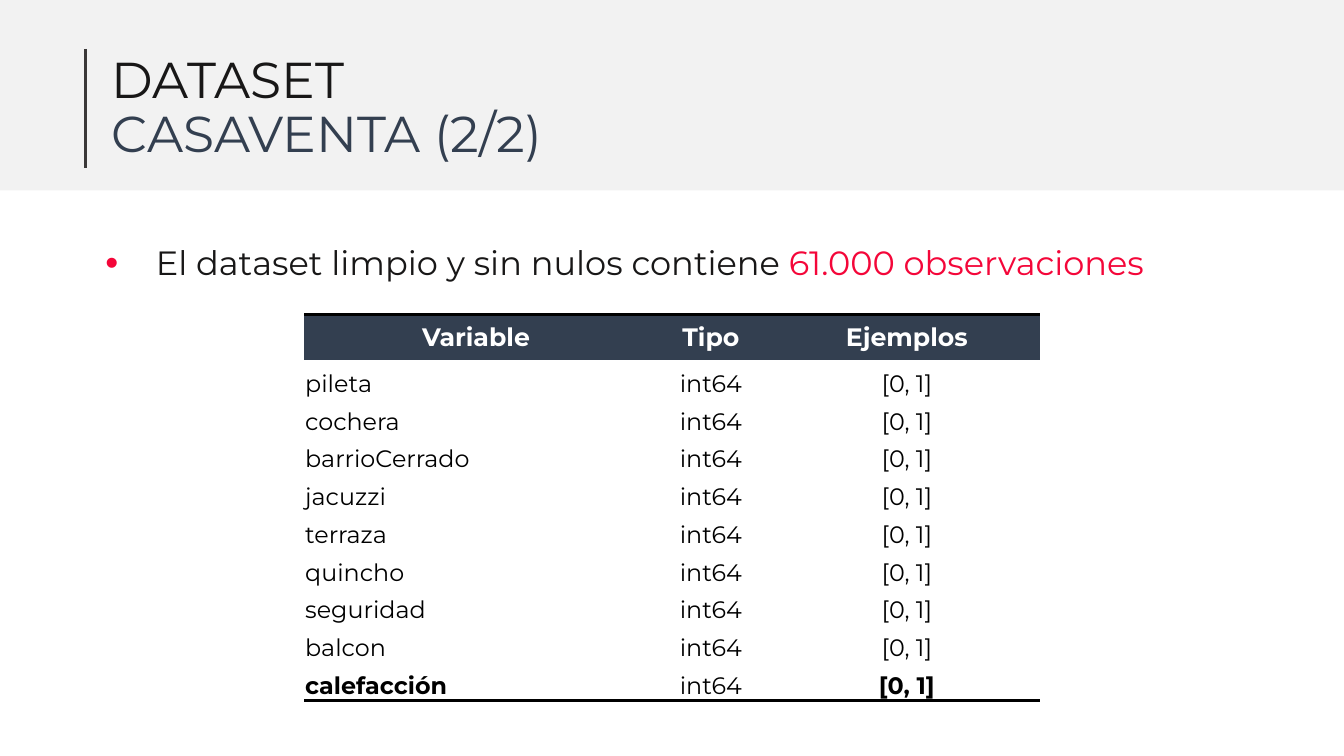
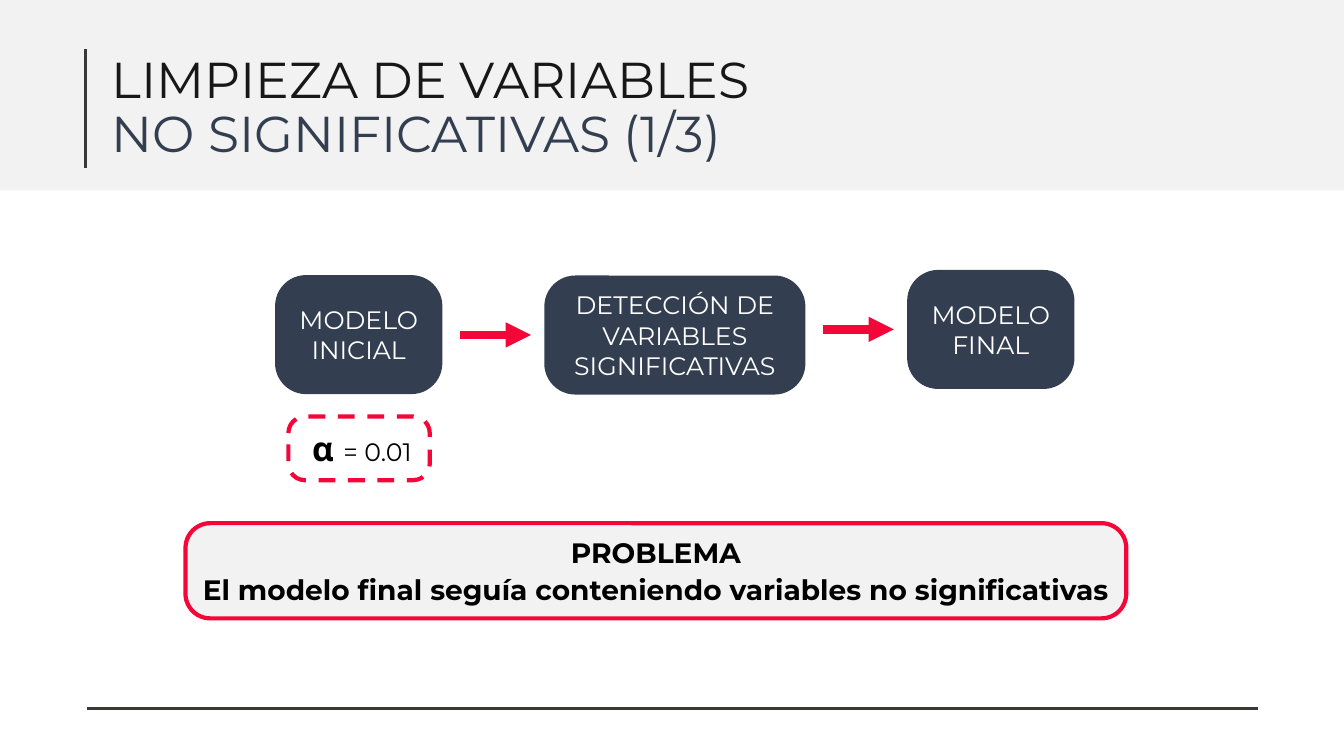
from lxml import etree
from pptx import Presentation
from pptx.dml.color import RGBColor
from pptx.enum.dml import MSO_LINE
from pptx.enum.shapes import MSO_CONNECTOR, MSO_SHAPE
from pptx.enum.text import MSO_ANCHOR, PP_ALIGN
from pptx.oxml.ns import qn
from pptx.util import Pt

RECTANGLE, ROUNDED = MSO_SHAPE.RECTANGLE, MSO_SHAPE.ROUNDED_RECTANGLE
STRAIGHT, DASH = MSO_CONNECTOR.STRAIGHT, MSO_LINE.DASH
MIDDLE, BOTTOM = MSO_ANCHOR.MIDDLE, MSO_ANCHOR.BOTTOM
LEFT, CENTER = PP_ALIGN.LEFT, PP_ALIGN.CENTER

FONT = "Montserrat"
INK, NAVY, RED = "181717", "333F50", "F40639"
GREY, RULE, BLACK, WHITE = "F2F2F2", "3B3838", "000000", "FFFFFF"
NO_STYLE = "{2D5ABB26-0587-4C30-8999-92F81FD0307C}"

DATASET_TITLE = ("DATASET", "CASAVENTA (2/2)")
DATASET_NOTE = [("El dataset limpio y sin nulos contiene ", 24, INK, False),
                ("61.000 observaciones", 24, RED, False)]
HEADINGS = ("Variable", "Tipo", "Ejemplos")
VARIABLES = ("pileta", "cochera", "barrioCerrado", "jacuzzi", "terraza",
             "quincho", "seguridad", "balcon", "calefacción")
HIGHLIGHTED = "calefacción"
COLUMN_WIDTHS = (245.5, 90, 190)
HEADING_HEIGHT, ROW_HEIGHT = 33, 27

CLEANING_TITLE = ("LIMPIEZA DE VARIABLES", "NO SIGNIFICATIVAS (1/3)")
STEPS = [("MODELO INICIAL", 196.5, 196.5, 119.5),
         ("DETECCIÓN DE VARIABLES SIGNIFICATIVAS", 388.8, 196.8, 186.5),
         ("MODELO FINAL", 648, 192.8, 119.5)]
STEP_HEIGHT = 85
ALPHA = [[("α ", 24, BLACK, True), ("= 0.01", 18, BLACK, False)]]
PROBLEM = [[(line, 20, BLACK, True)] for line in
           ("PROBLEMA", "El modelo final seguía conteniendo variables no significativas")]


def color(value):
    return RGBColor.from_string(value)


def write(frame, paragraphs, align=LEFT, spacing=None, after=0):
    frame.word_wrap = True
    for index, runs in enumerate(paragraphs):
        paragraph = frame.add_paragraph() if index else frame.paragraphs[0]
        paragraph.alignment = align
        paragraph.space_after = Pt(after)
        if spacing:
            paragraph.line_spacing = spacing
        for text, size, tint, bold in runs:
            run = paragraph.add_run()
            run.text = text
            run.font.name, run.font.size, run.font.bold = FONT, Pt(size), bold
            run.font.color.rgb = color(tint)


def add_text(slide, box, paragraphs, after=0):
    frame = slide.shapes.add_textbox(*map(Pt, box)).text_frame
    frame.vertical_anchor = MIDDLE
    write(frame, paragraphs, spacing=0.9, after=after)
    return frame


def add_panel(slide, kind, box, fill, border=None):
    panel = slide.shapes.add_shape(kind, *map(Pt, box))
    panel.shadow.inherit = False
    panel.fill.solid()
    panel.fill.fore_color.rgb = color(fill)
    if border:
        panel.line.color.rgb = color(border)
        panel.line.width = Pt(3)
    else:
        panel.line.fill.background()
    return panel


def add_box(slide, box, paragraphs, fill, border=None, left_inset=4):
    panel = add_panel(slide, ROUNDED, box, fill, border)
    panel.adjustments[0] = 0.26
    frame = panel.text_frame
    frame.vertical_anchor = MIDDLE
    frame.margin_left, frame.margin_right = Pt(left_inset), Pt(4)
    write(frame, paragraphs, CENTER, after=2)
    return panel


def add_line(slide, start, end, tint=RULE, width=2.25, arrow=False):
    line = slide.shapes.add_connector(STRAIGHT, *map(Pt, start + end))
    line.line.color.rgb = color(tint)
    line.line.width = Pt(width)
    if arrow:
        etree.SubElement(line.line._get_or_add_ln(), qn("a:tailEnd"), type="triangle")
    etree.SubElement(line._element.spPr, qn("a:effectLst"))


def add_slide(deck, title):
    slide = deck.slides.add_slide(deck.slide_layouts[6])
    add_panel(slide, RECTANGLE, (0, 0, 960, 136), GREY)
    add_line(slide, (61, 35), (61, 120))
    add_text(slide, (72.7, 26, 847, 104),
             [[(line, 36, tint, False)] for line, tint in zip(title, (INK, NAVY))])
    return slide


def add_bullet(paragraph):
    properties = paragraph._p.get_or_add_pPr()
    properties.set("marL", str(Pt(49.5)))
    properties.set("indent", str(Pt(-36)))
    tint = etree.SubElement(properties, qn("a:buClr"))
    etree.SubElement(tint, qn("a:srgbClr"), val=RED)
    etree.SubElement(properties, qn("a:buSzPct"), val="110000")
    etree.SubElement(properties, qn("a:buFont"), typeface="Arial")
    etree.SubElement(properties, qn("a:buChar"), char="•")


def add_border(cell, side):
    border = etree.Element(qn(f"a:{side}"), w=str(Pt(2)))
    fill = etree.SubElement(border, qn("a:solidFill"))
    etree.SubElement(fill, qn("a:srgbClr"), val=BLACK)
    cell._tc.get_or_add_tcPr().insert(0, border)


def fill_cell(cell, run, align, anchor, fill):
    cell.margin_left = cell.margin_right = cell.margin_top = Pt(0.7)
    cell.margin_bottom = 0
    cell.vertical_anchor = anchor
    cell.fill.solid()
    cell.fill.fore_color.rgb = color(fill)
    write(cell.text_frame, [[run]], align)


def add_variables(slide):
    rows = [HEADINGS] + [(name, "int64", "[0, 1]") for name in VARIABLES]
    heights = [HEADING_HEIGHT] + [ROW_HEIGHT] * len(VARIABLES)
    size = (sum(COLUMN_WIDTHS), sum(heights))
    table = slide.shapes.add_table(len(rows), len(HEADINGS),
                                   *map(Pt, (217.3, 224.5) + size)).table
    table.first_row = table.horz_banding = False
    table._tbl.tblPr.find(qn("a:tableStyleId")).text = NO_STYLE
    for column, width in zip(table.columns, COLUMN_WIDTHS):
        column.width = Pt(width)
    for r, (row, height) in enumerate(zip(rows, heights)):
        table.rows[r].height = Pt(height)
        for c, text in enumerate(row):
            cell = table.cell(r, c)
            if r == 0:
                fill_cell(cell, (text, 18, WHITE, True), CENTER, MIDDLE, NAVY)
                add_border(cell, "lnT")
                continue
            bold = row[0] == HIGHLIGHTED and c != 1
            fill_cell(cell, (text, 17, BLACK, bold), CENTER if c else LEFT, BOTTOM, WHITE)
            if r == len(rows) - 1:
                add_border(cell, "lnB")


def build_dataset(deck):
    slide = add_slide(deck, DATASET_TITLE)
    note = add_text(slide, (54.7, 153.5, 838, 71), [DATASET_NOTE], after=24)
    add_bullet(note.paragraphs[0])
    add_variables(slide)


def build_cleaning(deck):
    slide = add_slide(deck, CLEANING_TITLE)
    add_box(slide, (132.5, 373.7, 672, 68), PROBLEM, GREY, RED)
    alpha = add_box(slide, (206, 297.5, 101, 45.5), ALPHA, WHITE, RED, left_inset=8)
    alpha.line.dash_style = DASH
    for text, left, top, width in STEPS:
        add_box(slide, (left, top, width, STEP_HEIGHT), [[(text, 18, WHITE, False)]], NAVY)
    for (_, left, _, width), (_, target, top, _) in zip(STEPS, STEPS[1:]):
        middle = top + STEP_HEIGHT / 2
        add_line(slide, (left + width + 12.5, middle), (target - 9.5, middle), RED, 6, True)
    add_line(slide, (62, 506), (898.5, 506))


def main():
    """Build the two slides on the dataset and the cleaning of variables."""
    deck = Presentation()
    deck.slide_width, deck.slide_height = Pt(960), Pt(540)
    build_dataset(deck)
    build_cleaning(deck)
    deck.save("out.pptx")


if __name__ == "__main__":
    main()
